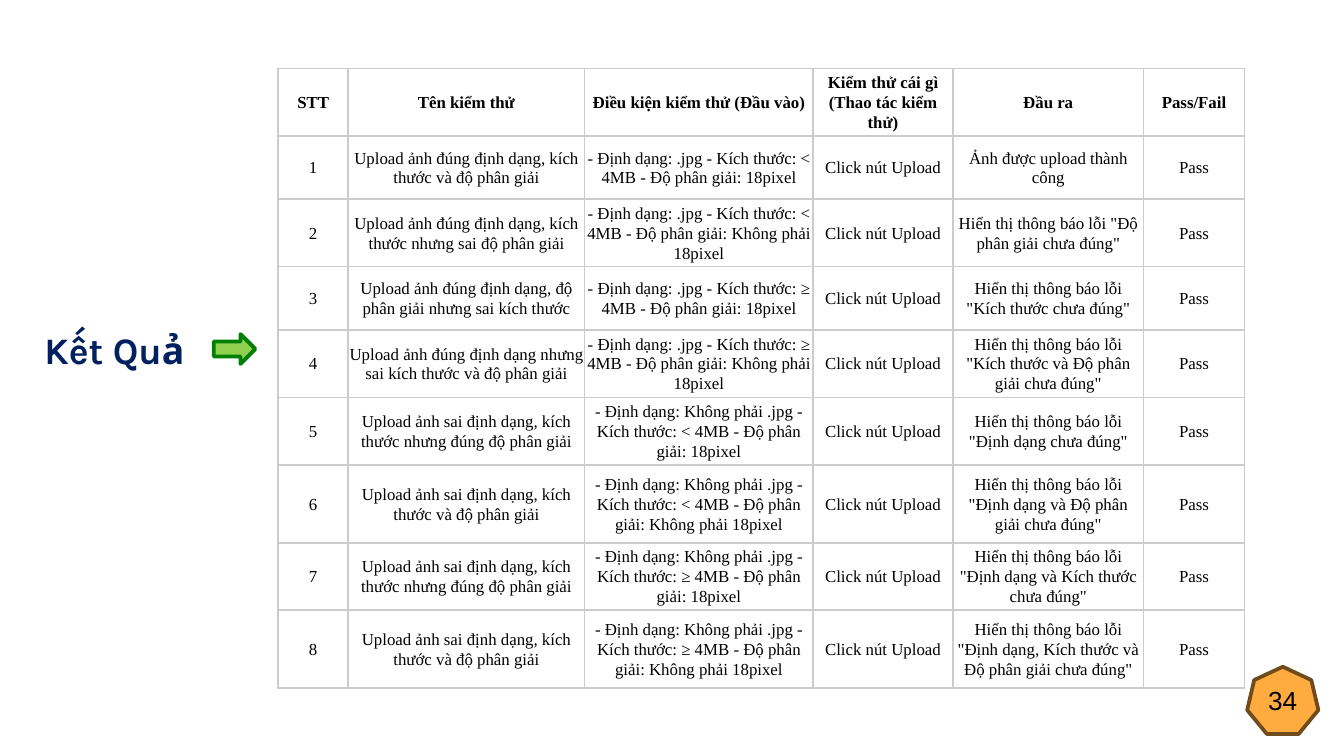
from lxml import etree
from pptx import Presentation
from pptx.dml.color import RGBColor
from pptx.enum.shapes import MSO_SHAPE
from pptx.enum.text import MSO_ANCHOR, MSO_AUTO_SIZE, PP_ALIGN
from pptx.oxml.ns import qn
from pptx.util import Inches, Pt

ARROW, HEPTAGON = MSO_SHAPE.RIGHT_ARROW, MSO_SHAPE.HEPTAGON
TOP, MIDDLE = MSO_ANCHOR.TOP, MSO_ANCHOR.MIDDLE
LEFT, CENTER = PP_ALIGN.LEFT, PP_ALIGN.CENTER
FIT_SHAPE = MSO_AUTO_SIZE.SHAPE_TO_FIT_TEXT

NAVY = RGBColor(0x00, 0x20, 0x60)
BLACK = RGBColor(0x00, 0x00, 0x00)
GRAY = RGBColor(0xCC, 0xCC, 0xCC)
LIME = RGBColor(0x92, 0xD0, 0x50)
GREEN = RGBColor(0x00, 0x80, 0x00)
ORANGE = RGBColor(0xFF, 0xAB, 0x40)
BROWN = RGBColor(0x70, 0x4B, 0x1C)

WIDTH = Inches(10)
HEIGHT = WIDTH * 9 // 16
COLUMN_SHARES = [52, 176, 170, 104, 142, 75]
ROW_SHARES = [36, 47, 50, 47, 50, 47, 58, 47, 58]

HEADER = ["STT", "Tên kiểm thử", "Điều kiện kiểm thử (Đầu vào)",
          "Kiểm thử cái gì (Thao tác kiểm thử)", "Đầu ra", "Pass/Fail"]
JPG, NOT_JPG = ".jpg", "Không phải .jpg"
SMALL, LARGE = "< 4MB", "≥ 4MB"
PIXEL, NOT_PIXEL = "18pixel", "Không phải 18pixel"
ERROR = 'Hiển thị thông báo lỗi "{} chưa đúng"'
TESTS = [
    ("đúng định dạng, kích thước và độ phân giải", JPG, SMALL, PIXEL,
     "Ảnh được upload thành công"),
    ("đúng định dạng, kích thước nhưng sai độ phân giải", JPG, SMALL, NOT_PIXEL,
     ERROR.format("Độ phân giải")),
    ("đúng định dạng, độ phân giải nhưng sai kích thước", JPG, LARGE, PIXEL,
     ERROR.format("Kích thước")),
    ("đúng định dạng nhưng sai kích thước và độ phân giải", JPG, LARGE, NOT_PIXEL,
     ERROR.format("Kích thước và Độ phân giải")),
    ("sai định dạng, kích thước nhưng đúng độ phân giải", NOT_JPG, SMALL, PIXEL,
     ERROR.format("Định dạng")),
    ("sai định dạng, kích thước và độ phân giải", NOT_JPG, SMALL, NOT_PIXEL,
     ERROR.format("Định dạng và Độ phân giải")),
    ("sai định dạng, kích thước nhưng đúng độ phân giải", NOT_JPG, LARGE, PIXEL,
     ERROR.format("Định dạng và Kích thước")),
    ("sai định dạng, kích thước và độ phân giải", NOT_JPG, LARGE, NOT_PIXEL,
     ERROR.format("Định dạng, Kích thước và Độ phân giải")),
]


def box(left, top, width, height):
    return (int(WIDTH * left / 100), int(HEIGHT * top / 100),
            int(WIDTH * width / 100), int(HEIGHT * height / 100))


def set_all(target, values):
    for name, value in values.items():
        setattr(target, name, value)


def write(tf, text, align, color, **font):
    p = tf.paragraphs[0]
    p.alignment = align
    r = p.add_run()
    r.text = text
    set_all(r.font, font)
    r.font.color.rgb = color
    return p


def add_title(s, area):
    sp = s.shapes.title
    set_all(sp, dict(zip(("left", "top", "width", "height"), area)))
    tf = sp.text_frame
    set_all(tf, {"word_wrap": False, "auto_size": FIT_SHAPE, "vertical_anchor": TOP})
    write(tf, "Kết Quả", LEFT, NAVY, name="Karla", size=Pt(20), bold=True)


def add_figure(s, kind, area, fill, line):
    sp = s.shapes.add_shape(kind, *area)
    sp.shadow.inherit = False
    sp.fill.solid()
    sp.fill.fore_color.rgb = fill
    sp.line.color.rgb = line
    sp.line.width = Pt(2)
    return sp


def add_page_number(s, area):
    tf = add_figure(s, HEPTAGON, area, ORANGE, BROWN).text_frame
    set_all(tf, {"word_wrap": False, "vertical_anchor": MIDDLE,
                 "margin_left": 0, "margin_right": 0})
    write(tf, "34", CENTER, BLACK, name="Arial", size=Pt(14))


def draw_borders(cell):
    tc_pr = cell._tc.get_or_add_tcPr()
    for i, side in enumerate(("lnL", "lnR", "lnT", "lnB")):
        ln = etree.Element(qn(f"a:{side}"), w=str(Pt(1)))
        fill = etree.SubElement(ln, qn("a:solidFill"))
        etree.SubElement(fill, qn("a:srgbClr"), val=str(GRAY))
        tc_pr.insert(i, ln)


def fill_cell(cell, text, bold):
    cell.fill.background()
    margins = ("margin_left", "margin_right", "margin_top", "margin_bottom")
    set_all(cell, dict.fromkeys(margins, Inches(0.01)))
    cell.vertical_anchor = MIDDLE
    p = write(cell.text_frame, text, CENTER, BLACK,
              name="Times New Roman", size=Pt(9), bold=bold)
    p.line_spacing = 1.07
    draw_borders(cell)


def add_test_table(s, area):
    rows = [HEADER] + [
        [str(n), f"Upload ảnh {name}",
         f"- Định dạng: {kind} - Kích thước: {size} - Độ phân giải: {resolution}",
         "Click nút Upload", result, "Pass"]
        for n, (name, kind, size, resolution, result) in enumerate(TESTS, 1)]
    table = s.shapes.add_table(len(rows), len(HEADER), *area).table
    set_all(table, {"first_row": False, "horz_banding": False})
    for column, share in zip(table.columns, COLUMN_SHARES):
        column.width = int(area[2] * share / sum(COLUMN_SHARES))
    for row, share in zip(table.rows, ROW_SHARES):
        row.height = int(area[3] * share / sum(ROW_SHARES))
    for i, texts in enumerate(rows):
        for j, text in enumerate(texts):
            fill_cell(table.cell(i, j), text, bold=i == 0)


def main():
    prs = Presentation()
    prs.slide_width = WIDTH
    prs.slide_height = HEIGHT
    s = prs.slides.add_slide(prs.slide_layouts[5])
    add_title(s, box(2.3, 42.35, 12.8, 7.83))
    add_test_table(s, box(20.7, 9.07, 71.9, 78.29))
    add_figure(s, ARROW, box(15.9, 44.2, 3.1, 3.95), LIME, GREEN)
    add_page_number(s, box(92.8, 88.2, 5.3, 8.9))
    prs.save("out.pptx")


if __name__ == "__main__":
    main()
